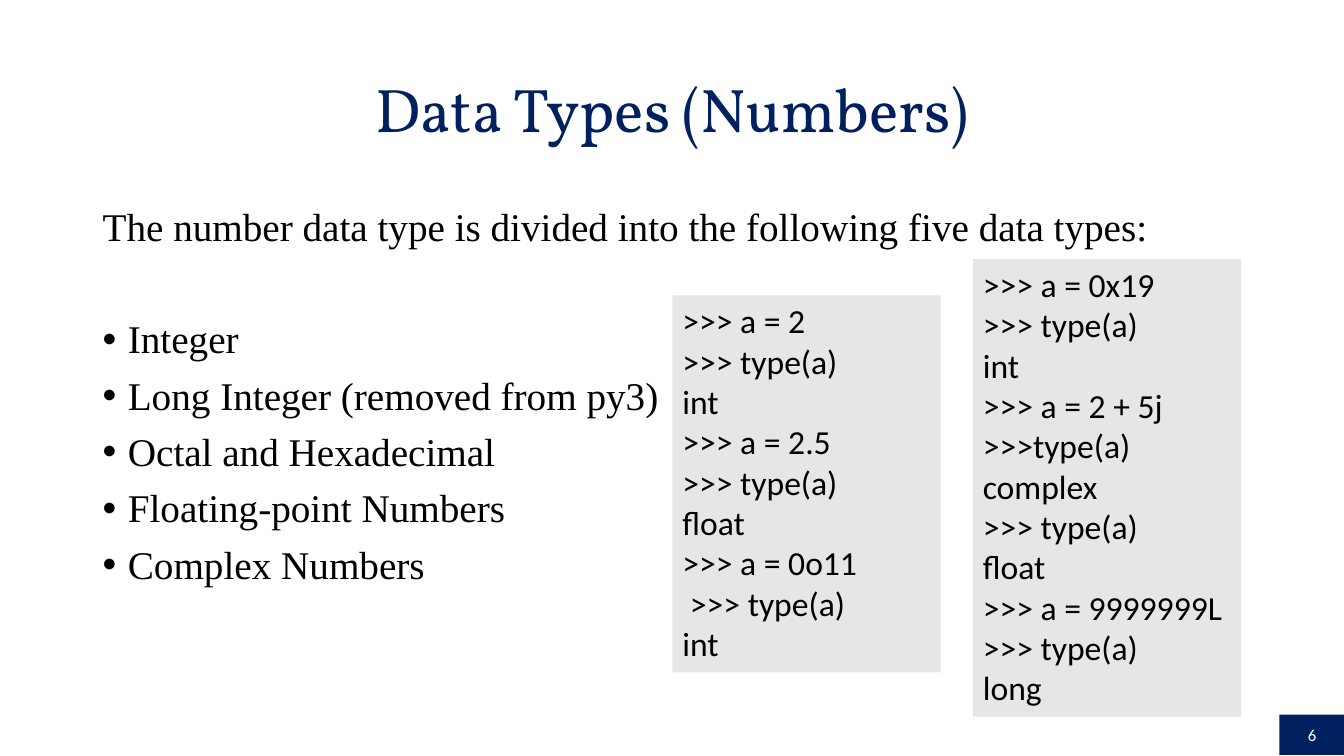
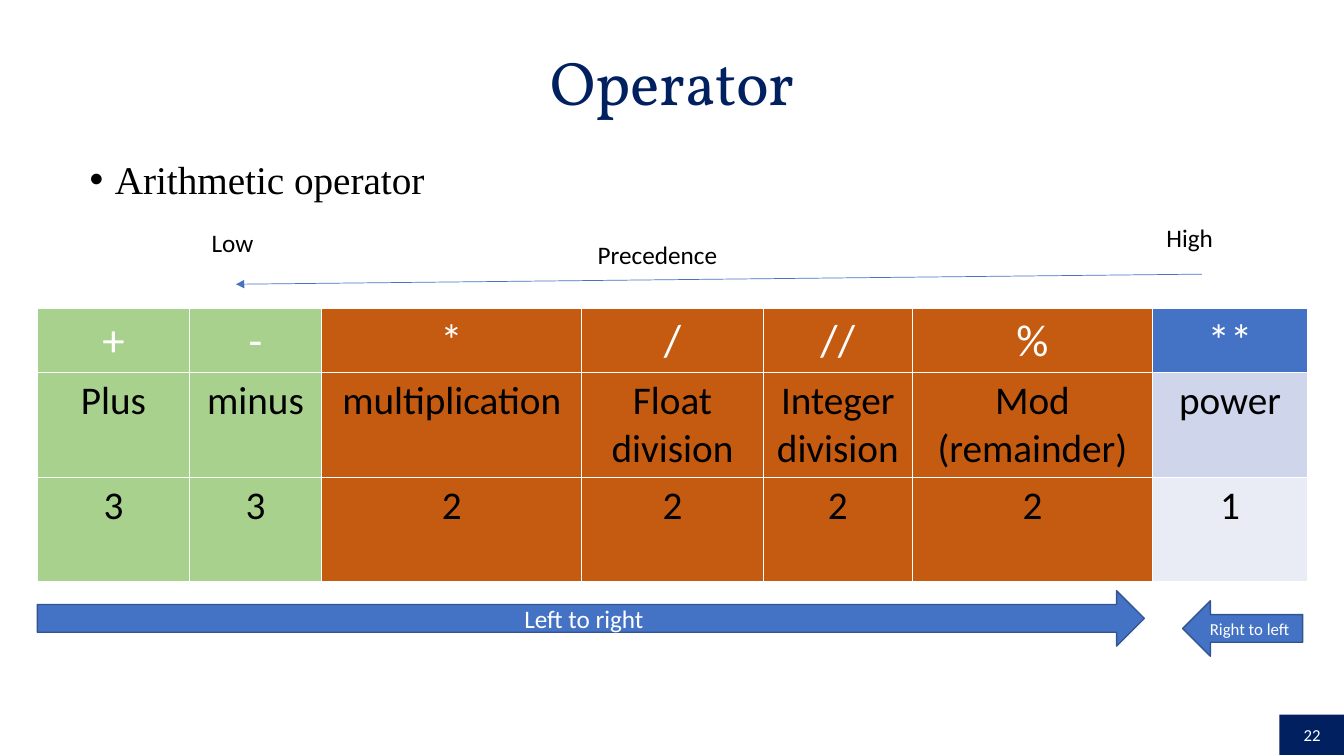
from lxml import etree
from pptx import Presentation
from pptx.dml.color import RGBColor
from pptx.enum import shapes, text
from pptx.oxml import ns
from pptx.util import Inches, Pt

NAVY = RGBColor(0x00, 0x20, 0x60)
BLUE = RGBColor(0x44, 0x72, 0xC4)
DARK_BLUE = RGBColor(0x32, 0x54, 0x91)
PALE_BLUE = RGBColor(0xCF, 0xD5, 0xEA)
PALEST_BLUE = RGBColor(0xE9, 0xEB, 0xF5)
GREEN = RGBColor(0xA9, 0xD1, 0x8E)
ORANGE = RGBColor(0xC5, 0x5A, 0x11)
GRAY = RGBColor(0xE7, 0xE6, 0xE6)
BLACK = RGBColor(0x00, 0x00, 0x00)
WHITE = RGBColor(0xFF, 0xFF, 0xFF)

TITLE_FONT, BODY_FONT, LABEL_FONT = "Vollkorn", "Times New Roman", "Calibri"
LEFT, CENTER = text.PP_ALIGN.LEFT, text.PP_ALIGN.CENTER
TOP, MIDDLE = text.MSO_ANCHOR.TOP, text.MSO_ANCHOR.MIDDLE
SHAPE = shapes.MSO_SHAPE


def add_element(parent, tag, **attributes):
    return etree.SubElement(parent, ns.qn(tag), attributes)


def write(frame, lines, size=18, font=LABEL_FONT, color=BLACK, align=LEFT,
          line_spacing=1, space_before=0, lead=None, bullet=False):
    """Append lines to a text frame; lead is the space before the first one."""
    for index, line in enumerate(lines):
        first = not frame.text
        paragraph = frame.paragraphs[0] if first else frame.add_paragraph()
        if bullet:
            properties = paragraph._p.get_or_add_pPr()
            properties.set("marL", str(Inches(0.25)))
            properties.set("indent", str(-Inches(0.25)))
            add_element(properties, "a:buFont", typeface="Arial")
            add_element(properties, "a:buChar", char="•")
        paragraph.alignment = align
        paragraph.line_spacing = line_spacing
        gap = lead if index == 0 and lead is not None else space_before
        paragraph.space_before = Pt(0 if first else gap)
        run = paragraph.add_run()
        run.text = line
        run.font.size = Pt(size)
        run.font.name = font
        run.font.color.rgb = color


class Deck:
    BODY = dict(size=28, font=BODY_FONT, line_spacing=0.9, space_before=10)

    def __init__(self):
        self.presentation = Presentation()
        self.presentation.slide_width = Inches(13.33)
        self.presentation.slide_height = Inches(7.5)
        self.slide = None

    def start_slide(self, title, number, top, height):
        layout = self.presentation.slide_layouts.get_by_name("Title Only")
        self.slide = self.presentation.slides.add_slide(layout)
        shape = self.slide.shapes.title
        shape.left, shape.top = Inches(0.92), Inches(top)
        shape.width, shape.height = Inches(11.5), Inches(height)
        frame = shape.text_frame
        frame.auto_size = text.MSO_AUTO_SIZE.NONE
        frame.vertical_anchor = MIDDLE
        write(frame, [title], size=44, font=TITLE_FONT, color=NAVY,
              align=CENTER, line_spacing=0.9)
        self.add_box(SHAPE.RECTANGLE, 12.69, 7.09, 0.65, 0.4, NAVY,
                     [str(number)], size=12, color=WHITE, align=CENTER)

    def add_text(self, left, top, width, height, lines=(), **style):
        box = self.slide.shapes.add_textbox(
            Inches(left), Inches(top), Inches(width), Inches(height))
        box.text_frame.word_wrap = True
        write(box.text_frame, lines, **style)
        return box.text_frame

    def add_box(self, kind, left, top, width, height, fill, lines,
                outline=None, anchor=MIDDLE, **style):
        shape = self.slide.shapes.add_shape(
            kind, Inches(left), Inches(top), Inches(width), Inches(height))
        shape.shadow.inherit = False
        shape.fill.solid()
        shape.fill.fore_color.rgb = fill
        if outline is None:
            shape.line.fill.background()
        else:
            shape.line.color.rgb = outline
            shape.line.width = Pt(1)
        shape.text_frame.word_wrap = True
        shape.text_frame.vertical_anchor = anchor
        write(shape.text_frame, lines, **style)

    def add_code(self, left, top, height, code):
        self.add_box(SHAPE.RECTANGLE, left, top, 2.66, height, GRAY,
                     code.split("\n"), anchor=TOP, size=24)

    def add_block_arrow(self, kind, left, top, width, label, size):
        self.add_box(kind, left, top, width, 0.55, BLUE, [label],
                     outline=DARK_BLUE, size=size, color=WHITE, align=CENTER)

    def add_arrow(self, start, end):
        line = self.slide.shapes.add_connector(
            shapes.MSO_CONNECTOR.STRAIGHT, *map(Inches, start + end))
        line.line.color.rgb = BLUE
        line.line.width = Pt(0.5)
        add_element(line.line._get_or_add_ln(), "a:tailEnd", type="triangle")
        add_element(line._element.spPr, "a:effectLst")

    def add_table(self, left, top, columns, row_heights):
        """Each column is a width, its cell texts and its cell fills."""
        widths = [width for width, _, _ in columns]
        table = self.slide.shapes.add_table(
            len(row_heights), len(columns), Inches(left), Inches(top),
            Inches(sum(widths)), Inches(sum(row_heights))).table
        table.first_row = table.horz_banding = False
        for row, height in zip(table.rows, row_heights):
            row.height = Inches(height)
        for x, (width, labels, fills) in enumerate(columns):
            table.columns[x].width = Inches(width)
            for y, (label, fill) in enumerate(zip(labels, fills)):
                self.fill_cell(table.cell(y, x), label, fill, header=y == 0)

    def fill_cell(self, cell, label, fill, header):
        write(cell.text_frame, [label], size=32 if header else 28,
              color=WHITE if header else BLACK, align=CENTER)
        properties = cell._tc.get_or_add_tcPr()
        for side in "LRTB":
            border = add_element(properties, f"a:ln{side}", w=str(Pt(1)))
            solid = add_element(border, "a:solidFill")
            add_element(solid, "a:srgbClr", val=str(WHITE))
        cell.fill.solid()
        cell.fill.fore_color.rgb = fill


INTEGER_CODE = """>>> a = 2
>>> type(a)
int
>>> a = 2.5
>>> type(a)
float
>>> a = 0o11
 >>> type(a)
int"""

COMPLEX_CODE = """>>> a = 0x19
>>> type(a)
int
>>> a = 2 + 5j
>>>type(a)
complex
>>> type(a)
float
>>> a = 9999999L
>>> type(a)
long"""

OPERATORS = [
    (1.51, ("+", "Plus", "3"), [GREEN] * 3),
    (1.31, ("-", "minus", "3"), [GREEN] * 3),
    (2.58, ("*", "multiplication", "2"), [ORANGE] * 3),
    (1.8, ("/", "Float division", "2"), [ORANGE] * 3),
    (1.48, ("//", "Integer division", "2"), [ORANGE] * 3),
    (2.38, ("%", "Mod (remainder)", "2"), [ORANGE] * 3),
    (1.54, ("**", "power", "1"), [BLUE, PALE_BLUE, PALEST_BLUE]),
]


def add_numbers_slide(deck):
    deck.start_slide("Data Types (Numbers)", 6, top=0.39, height=1.45)
    body = deck.add_text(
        0.92, 2.01, 11.5, 4.76,
        ["The number data type is divided into the following five data types:"],
        **deck.BODY)
    write(body, ["Integer", "Long Integer (removed from py3)",
                 "Octal and Hexadecimal", "Floating-point Numbers",
                 "Complex Numbers"], lead=50, bullet=True, **deck.BODY)
    deck.add_code(6.67, 2.93, 3.74, INTEGER_CODE)
    deck.add_code(9.65, 2.57, 4.54, COMPLEX_CODE)


def add_operator_slide(deck):
    deck.start_slide("Operator", 22, top=0.4, height=0.9)
    deck.add_text(0.79, 1.54, 11.5, 0.6, ["Arithmetic operator"],
                  bullet=True, **deck.BODY)
    deck.add_table(0.37, 3.06, OPERATORS, [0.56, 1.04, 1.04])
    deck.add_arrow((11.92, 2.72), (2.34, 2.82))
    for label, left, top, width in (("Low", 2, 2.21, 0.68),
                                    ("Precedence", 5.83, 2.33, 1.89),
                                    ("High", 11.47, 2.16, 0.68)):
        deck.add_text(left, top, width, 0.4, [label])
    deck.add_block_arrow(SHAPE.LEFT_ARROW, 11.73, 5.96, 1.19, "Right to left", 12)
    deck.add_block_arrow(SHAPE.RIGHT_ARROW, 0.37, 5.86, 10.98, "Left to right", 18)


def main():
    deck = Deck()
    add_numbers_slide(deck)
    add_operator_slide(deck)
    deck.presentation.save("out.pptx")


if __name__ == "__main__":
    main()
